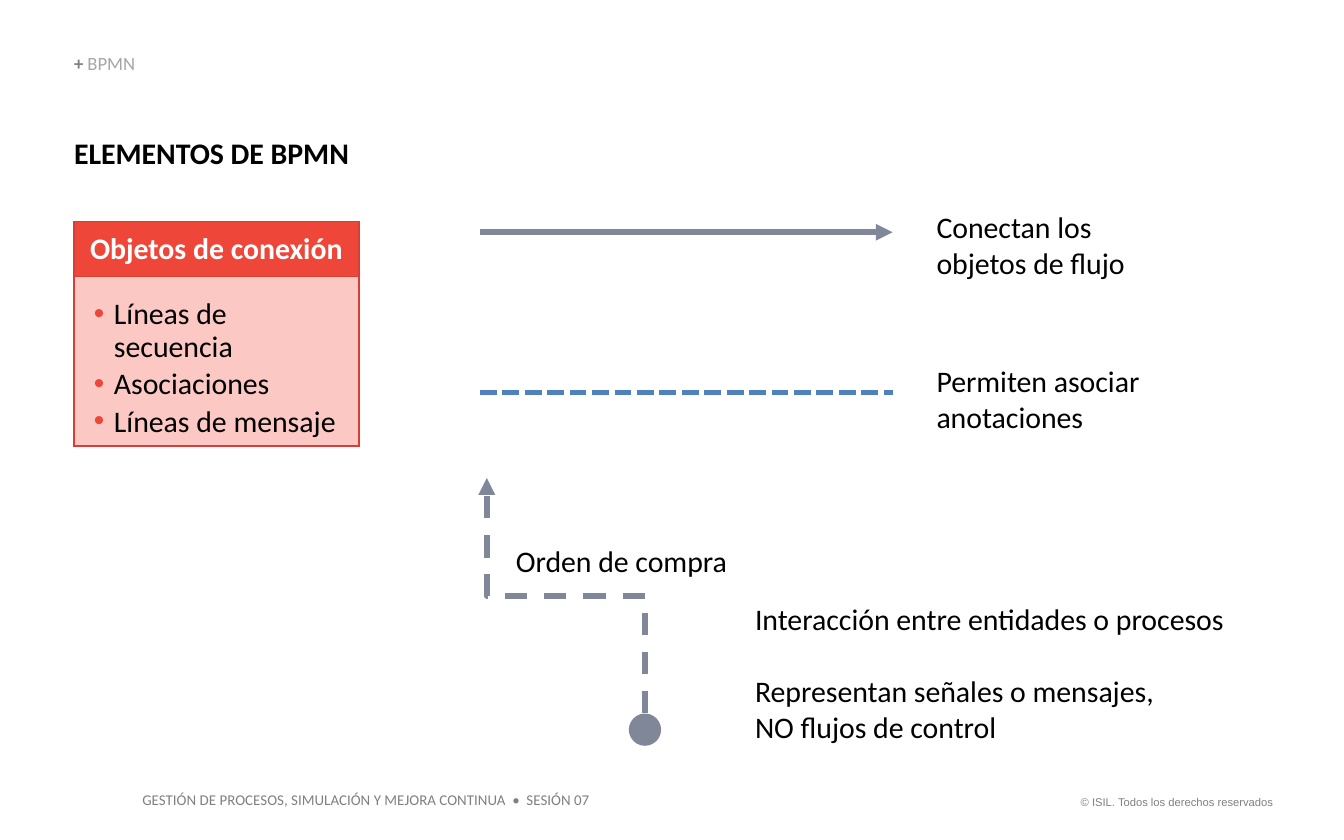
from lxml.etree import SubElement
from pptx import Presentation
from pptx.dml.color import RGBColor
from pptx.enum.dml import MSO_LINE
from pptx.enum.shapes import MSO_CONNECTOR, MSO_SHAPE
from pptx.enum.text import MSO_ANCHOR, MSO_AUTO_SIZE, PP_ALIGN
from pptx.oxml.ns import qn
from pptx.util import Cm, Pt

BLACK = RGBColor(0, 0, 0)
WHITE = RGBColor(255, 255, 255)
GRAY = RGBColor(0x80, 0x80, 0x80)
PALE = RGBColor(0xA6, 0xA6, 0xA6)
RED = RGBColor(0xEE, 0x46, 0x39)
EDGE = RGBColor(0xDA, 0x3D, 0x35)
PINK = RGBColor(0xFB, 0xC8, 0xC4)
SLATE = RGBColor(0x80, 0x87, 0x99)
BLUE = RGBColor(0x4F, 0x81, 0xBD)

LEFT = 1.4


def style(run, size=16, color=BLACK, bold=False, face="Calibri"):
    font = run.font
    font.name, font.size, font.bold = face, Pt(size), bold
    font.color.rgb = color


def write(frame, *lines, align=PP_ALIGN.LEFT, pitch=1.0, gap=0, after=0,
          bullet=None, **look):
    """Fill a text frame with one paragraph per line."""
    for i, line in enumerate(lines):
        para = frame.add_paragraph() if i else frame.paragraphs[0]
        para.text = line
        if bullet:
            add_bullet(para, bullet)
        para.alignment, para.line_spacing = align, pitch
        para.space_before = Pt(gap if i else 0)
        para.space_after = Pt(after)
        for run in para.runs:
            style(run, **look)


def add_bullet(para, color):
    props = para._p.get_or_add_pPr()
    props.set("marL", str(Cm(0.5)))
    props.set("indent", str(Cm(-0.38)))
    tint = SubElement(SubElement(props, qn("a:buClr")), qn("a:srgbClr"))
    tint.set("val", str(color))
    SubElement(props, qn("a:buFont")).set("typeface", "Arial")
    SubElement(props, qn("a:buChar")).set("char", "•")


def fit(frame, inset=0.0, anchor=MSO_ANCHOR.TOP):
    frame.word_wrap = True
    frame.auto_size = MSO_AUTO_SIZE.NONE
    frame.vertical_anchor = anchor
    frame.margin_left = frame.margin_right = Cm(inset)
    frame.margin_top = frame.margin_bottom = Cm(inset / 2)


def add_text(slide, box, *lines, inset=0.0, anchor=MSO_ANCHOR.TOP, **form):
    frame = slide.shapes.add_textbox(*map(Cm, box)).text_frame
    fit(frame, inset, anchor)
    write(frame, *lines, **form)
    return frame


def add_line(slide, start, end, color, kind=MSO_CONNECTOR.STRAIGHT,
             dash=None, arrow=False):
    link = slide.shapes.add_connector(kind, *map(Cm, (*start, *end)))
    link.line.color.rgb, link.line.width = color, Pt(3)
    if dash:
        link.line.dash_style = dash
    if arrow:
        tip = SubElement(link.line._get_or_add_ln(), qn("a:tailEnd"))
        tip.set("type", "triangle")
    SubElement(link._element.spPr, qn("a:effectLst"))
    return link


def add_riser(slide, start, end, color, **form):
    """Elbow that leaves and arrives upright: a level elbow turned 270°."""
    midx, midy = (start[0] + end[0]) / 2, (start[1] + end[1]) / 2
    dx, dy = (start[1] - end[1]) / 2, (start[0] - end[0]) / 2
    link = add_line(slide, (midx - dx, midy + dy), (midx + dx, midy - dy),
                    color, MSO_CONNECTOR.ELBOW, **form)
    link._element.spPr.find(qn("a:xfrm")).set("rot", str(270 * 60000))


def add_head(slide, box):
    x, y, w, _ = box
    tag = add_text(slide, (x, y, 6.76, 0.38), "+ ", anchor=MSO_ANCHOR.BOTTOM,
                   pitch=0.9, size=10, color=GRAY, bold=True)
    run = tag.paragraphs[0].add_run()
    run.text = "BPMN"
    style(run, size=10, color=PALE)

    title = slide.shapes.title
    title.left, title.top = Cm(x), Cm(y + 1.5)
    title.width, title.height = Cm(w), Cm(0.69)
    fit(title.text_frame)
    write(title.text_frame, "ELEMENTOS DE BPMN", bold=True)


def paint(cell, fill):
    cell.fill.solid()
    cell.fill.fore_color.rgb = fill
    props = cell._tc.get_or_add_tcPr()
    for i, side in enumerate(("a:lnL", "a:lnR", "a:lnT", "a:lnB")):
        line = SubElement(props, qn(side), w=str(Pt(1)))
        tint = SubElement(SubElement(line, qn("a:solidFill")),
                          qn("a:srgbClr"))
        tint.set("val", str(EDGE))
        props.insert(i, line)


def add_card(slide, box):
    table = slide.shapes.add_table(2, 1, *map(Cm, box)).table
    table.first_row = table.horz_banding = False
    for row, high in zip(table.rows, (1.04, box[3] - 1.04)):
        row.height = Cm(high)
    head, body = table.cell(0, 0), table.cell(1, 0)
    paint(head, RED)
    paint(body, PINK)
    head.vertical_anchor = MSO_ANCHOR.MIDDLE
    body.margin_top = Cm(0.41)
    write(head.text_frame, "Objetos de conexión", align=PP_ALIGN.CENTER,
          pitch=0.9, color=WHITE, bold=True)
    write(body.text_frame, "Líneas de secuencia", "Asociaciones",
          "Líneas de mensaje", pitch=0.9, after=2.4, bullet=RED)


def add_row(slide, box, text, drop, color, **form):
    """Sample line with its meaning at the right."""
    x, y, w, h = box
    add_line(slide, (x, y + drop), (x + 7.8, y + drop), color, **form)
    add_text(slide, (x + 8.63, y, w - 8.63, h), text)


def add_message(slide, box):
    x, y, w, h = box
    size = 0.61
    foot = (x + 2.99, y + h - size)
    add_riser(slide, foot, (x, y), SLATE, dash=MSO_LINE.DASH, arrow=True)
    dot = slide.shapes.add_shape(
        MSO_SHAPE.OVAL, *map(Cm, (foot[0] - size / 2, foot[1], size, size)))
    dot.shadow.inherit = False
    dot.fill.solid()
    dot.fill.fore_color.rgb = SLATE
    dot.line.fill.background()
    add_text(slide, (x + 0.55, y + 1.22, 5.21, 0.69), "Orden de compra")
    add_text(slide, (x + 5.07, y + 2.31, w - 5.07, 2.74),
             "Interacción entre entidades o procesos",
             "Representan señales o mensajes,\vNO flujos de control", gap=19.5)


def add_foot(slide, box):
    x, y, w, h = box
    add_text(slide, (x, y, 8.97, h),
             "GESTIÓN DE PROCESOS, SIMULACIÓN Y MEJORA CONTINUA  •  SESIÓN 07",
             inset=0.25, size=8, color=GRAY)
    add_text(slide, (x + w - 4.29, y + 0.08, 4.29, h),
             "© ISIL. Todos los derechos reservados", inset=0.25,
             align=PP_ALIGN.RIGHT, size=6, color=GRAY, face="Arial")


def main():
    deck = Presentation()
    deck.slide_width, deck.slide_height = Cm(25.4), Cm(15.88)
    slide = deck.slides.add_slide(deck.slide_layouts[5])
    add_foot(slide, (2.44, 14.83, 21.87, 0.61))
    add_head(slide, (LEFT, 1.04, 22.68, 2.19))
    add_card(slide, (LEFT, 4.19, 5.38, 4.24))
    add_row(slide, (9.07, 3.94, 12.41, 1.37), "Conectan los objetos de flujo",
            0.45, SLATE, arrow=True)
    add_row(slide, (9.07, 6.86, 14.22, 1.37), "Permiten asociar anotaciones",
            0.56, BLUE, dash=MSO_LINE.SQUARE_DOT)
    add_message(slide, (9.2, 9.04, 14.14, 5.06))
    deck.save("out.pptx")


if __name__ == "__main__":
    main()
